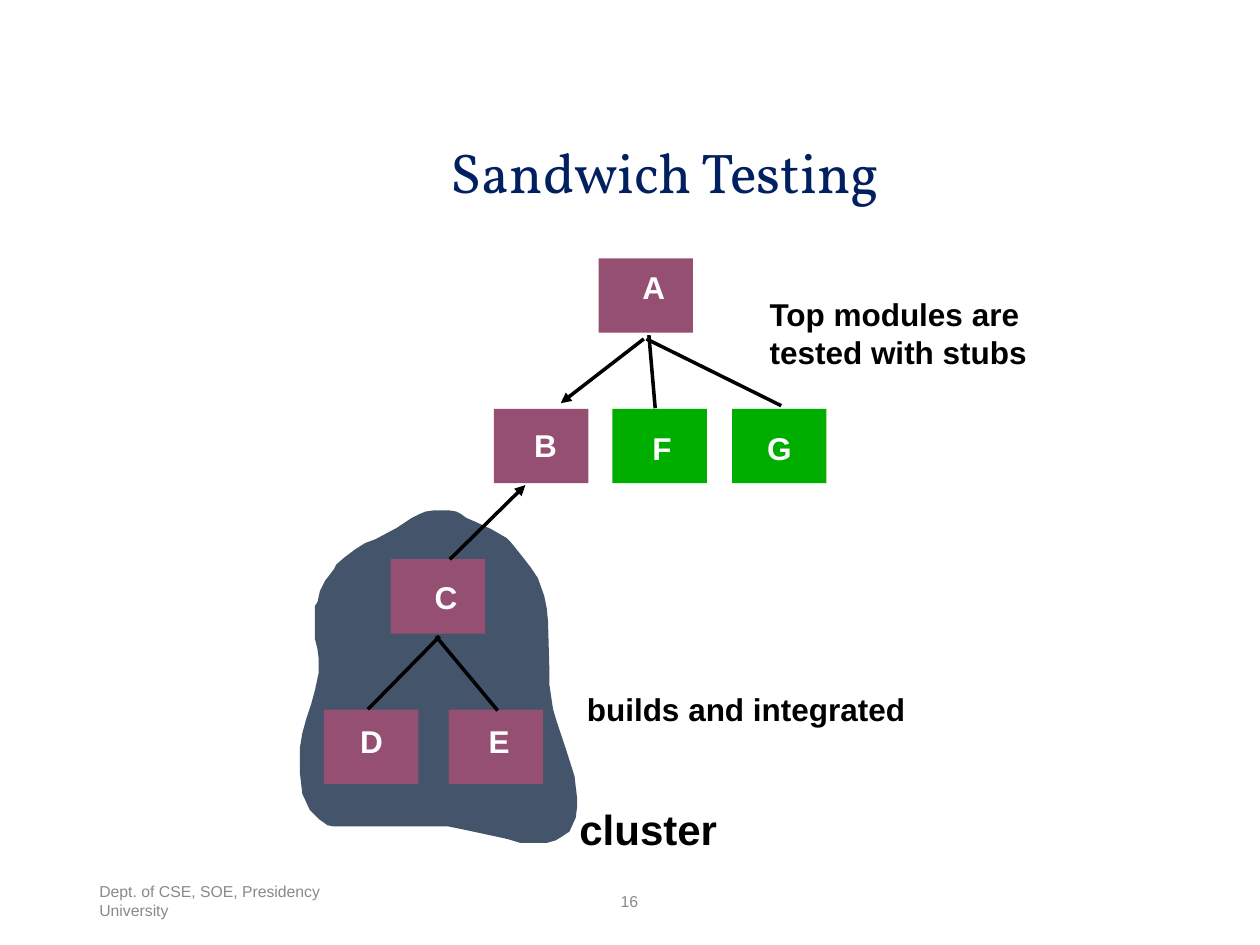
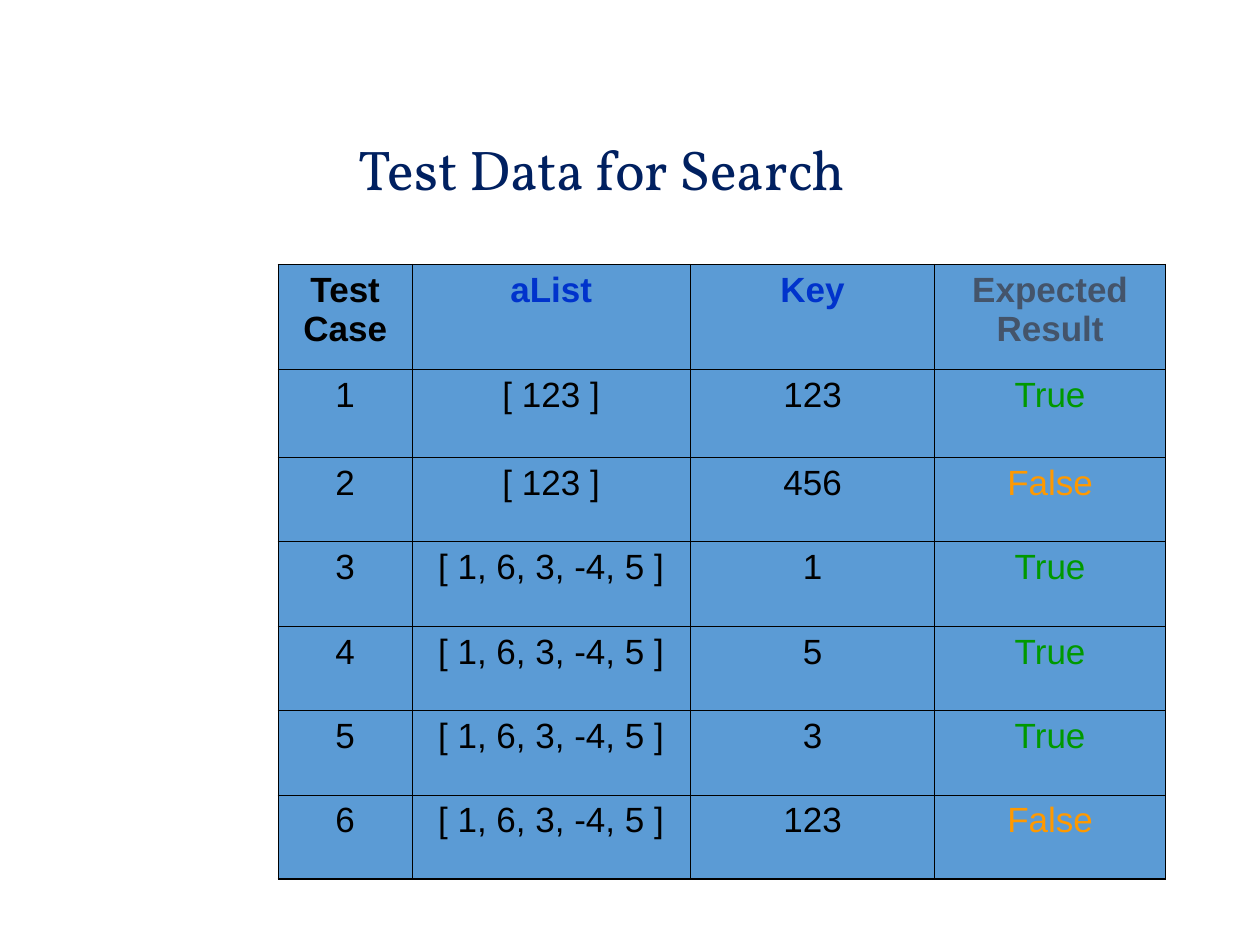
import pptx
import pptx.util
import pptx.dml.color
import pptx.enum.shapes
import pptx.enum.text
import pptx.oxml.ns
from lxml import etree

WIDE, HIGH = 10, 7.5
BLACK, WHITE, GREY, NAVY = "000000", "FFFFFF", "898989", "002060"
PLUM, GREEN, SLATE, SKY = "954F72", "00AE00", "44546A", "5B9BD5"
BLUE, LEAF, AMBER = "0033CC", "009900", "FF9900"

TITLES = [
    ("Sandwich Testing", (3.47, 1.12, 3.62, 1.02)),
    ("Test Data for Search", (2.67, 1.1, 4.22, 0.59)),
]
FOOTERS = [
    ("Dept. of CSE, SOE, Presidency University", (0.69, 6.95, 2.25, 0.4), "LEFT"),
    ("16", (3.31, 6.95, 3.37, 0.4), "CENTER"),
]

TOP, PITCH, BOX = 2.05, 1.194, (0.75, 0.59)
MODULES = [
    ("A", 0, 4.75, PLUM, (0.25, 0.03)),
    ("B", 1, 3.92, PLUM, (0.22, 0.09)),
    ("C", 2, 3.1, PLUM, (0.25, 0.1)),
    ("D", 3, 2.57, PLUM, (0.19, 0.05)),
    ("E", 3, 3.56, PLUM, (0.22, 0.05)),
    ("F", 1, 4.86, GREEN, (0.22, 0.11)),
    ("G", 1, 5.81, GREEN, (0.18, 0.11)),
]
LINKS = [
    ((3.49, 5.05), (2.92, 5.63), False),
    ((3.46, 5.05), (3.95, 5.64), False),
    ((5.15, 2.66), (5.2, 3.24), False),
    ((5.13, 2.69), (6.2, 3.22), False),
    ((5.11, 2.69), (4.45, 3.2), True),
    ((3.57, 4.44), (4.17, 3.85), True),
]
NOTES = [
    ("Top modules are\ntested with stubs", (6.01, 2.29, 2.24, 0.7), 18),
    ("builds and integrated", (4.56, 5.43, 2.73, 0.4), 18),
    ("cluster", (4.5, 6.33, 1.29, 0.5), 24),
]
CLUSTER = [
    (402, 427), (390, 420), (377, 414), (370, 411), (366, 408), (362, 406),
    (356, 405), (345, 405), (338, 406), (333, 408), (327, 411), (315, 419),
    (298, 428), (290, 431), (282, 436), (274, 442), (267, 448), (265, 452),
    (258, 461), (254, 469), (252, 478), (250, 481), (250, 507), (252, 515),
    (253, 523), (253, 534), (250, 548), (247, 559), (243, 571), (240, 582),
    (238, 594), (238, 613), (240, 630), (246, 643), (253, 650), (260, 655),
    (265, 656), (356, 656), (366, 658), (380, 661), (394, 664), (403, 666),
    (413, 669), (434, 669), (441, 667), (446, 664), (452, 660), (457, 649),
    (458, 641), (458, 633), (456, 616), (450, 597), (442, 573), (439, 563),
    (436, 543), (436, 529), (435, 493), (434, 483), (432, 473), (427, 459),
    (421, 450), (414, 441), (406, 431),
]

HEADS = [("Test\nCase", BLACK), ("aList", BLUE), ("Key", BLUE), ("Expected Result", SLATE)]
LONG, SHORT = "[ 1, 6, 3, -4, 5 ]", "[ 123 ]"
CASES = [
    (SHORT, "123", True),
    (SHORT, "456", False),
    (LONG, "1", True),
    (LONG, "5", True),
    (LONG, "3", True),
    (LONG, "123", False),
]
GRID = (2.21, 2.1)
COLS = [1.06, 2.21, 1.94, 1.83]
ROWS = [0.83, 0.7] + [0.67] * 5

inch = pptx.util.Inches
qn = pptx.oxml.ns.qn


def rgb(code):
    return pptx.dml.color.RGBColor.from_string(code)


def style(par, size, color, bold=False, font="Arial", align="LEFT"):
    par.alignment = getattr(pptx.enum.text.PP_ALIGN, align)
    par.font.size = pptx.util.Pt(size)
    par.font.name = font
    par.font.bold = bold
    par.font.color.rgb = rgb(color)


def write(slide, text, area, size, color, wrap=False, inset=(0.1, 0.05), mid=False, **look):
    frame = slide.shapes.add_textbox(*map(inch, area)).text_frame
    frame.word_wrap = wrap
    frame.margin_left = frame.margin_right = inch(inset[0])
    frame.margin_top = frame.margin_bottom = inch(inset[1])
    if mid:
        frame.vertical_anchor = pptx.enum.text.MSO_ANCHOR.MIDDLE
    frame.text = text
    for par in frame.paragraphs:
        style(par, size, color, **look)
    return frame


def paint(shape, color):
    shape.shadow.inherit = False
    shape.fill.solid()
    shape.fill.fore_color.rgb = rgb(color)
    shape.line.fill.background()


def link(slide, start, end, arrow):
    kind = pptx.enum.shapes.MSO_CONNECTOR.STRAIGHT
    line = slide.shapes.add_connector(kind, *map(inch, start + end))
    line.line.color.rgb = rgb(BLACK)
    line.line.width = pptx.util.Pt(2)
    if arrow:
        etree.SubElement(line.line._get_or_add_ln(), qn("a:tailEnd"), type="triangle")
    etree.SubElement(line._element.spPr, qn("a:effectLst"))


def edge(cell, side, width):
    rule = etree.SubElement(cell._tc.get_or_add_tcPr(), qn("a:ln" + side),
                            w=str(pptx.util.Pt(width)))
    fill = etree.SubElement(rule, qn("a:solidFill"))
    etree.SubElement(fill, qn("a:srgbClr"), val=BLACK)


def start(deck, title, area):
    slide = deck.slides.add_slide(deck.slide_layouts[6])
    frame = write(slide, title, area, 32, NAVY, wrap=True, inset=(0.07, 0.03),
                  font="Vollkorn", align="CENTER")
    frame.paragraphs[0].line_spacing = 0.9
    return slide


def draw_tree(slide):
    for text, area, align in FOOTERS:
        write(slide, text, area, 9, GREY, wrap=True, mid=True, align=align)
    pen = slide.shapes.build_freeform(*CLUSTER[0], scale=inch(0.01))
    pen.add_line_segments(CLUSTER[1:], close=True)
    paint(pen.convert_to_shape(), SLATE)
    rect = pptx.enum.shapes.MSO_SHAPE.RECTANGLE
    for name, row, left, color, shift in MODULES:
        area = (left, TOP + row * PITCH) + BOX
        paint(slide.shapes.add_shape(rect, *map(inch, area)), color)
    for ends in LINKS:
        link(slide, *ends)
    for text, area, size in NOTES:
        write(slide, text, area, size, BLACK, bold=True)
    for name, row, left, color, (dx, dy) in MODULES:
        area = (left + dx, TOP + row * PITCH + dy, 0.38, 0.4)
        write(slide, name, area, 18, WHITE, bold=True)


def draw_table(slide):
    rows = [HEADS]
    for num, (items, key, found) in enumerate(CASES, 1):
        rows.append([(str(num), BLACK), (items, BLACK), (key, BLACK),
                     (str(found), LEAF if found else AMBER)])
    area = GRID + (sum(COLS), sum(ROWS))
    table = slide.shapes.add_table(len(ROWS), len(COLS), *map(inch, area)).table
    table.horz_banding = table.first_row = False
    for col, width in zip(table.columns, COLS):
        col.width = inch(width)
    for row, height in zip(table.rows, ROWS):
        row.height = inch(height)
    for r, row in enumerate(rows):
        for c, (text, color) in enumerate(row):
            cell = table.cell(r, c)
            par = cell.text_frame.paragraphs[0]
            par.text = text
            style(par, 20, color, bold=r == 0, align="CENTER")
            outer = {"L": c == 0, "R": c == len(COLS) - 1,
                     "T": r == 0, "B": r == len(ROWS) - 1}
            for side, rim in outer.items():
                edge(cell, side, 1.08 if rim else 0.45)
            cell.fill.solid()
            cell.fill.fore_color.rgb = rgb(SKY)


def main():
    deck = pptx.Presentation()
    deck.slide_width, deck.slide_height = inch(WIDE), inch(HIGH)
    for (title, area), draw in zip(TITLES, (draw_tree, draw_table)):
        draw(start(deck, title, area))
    deck.save("out.pptx")


if __name__ == "__main__":
    main()
